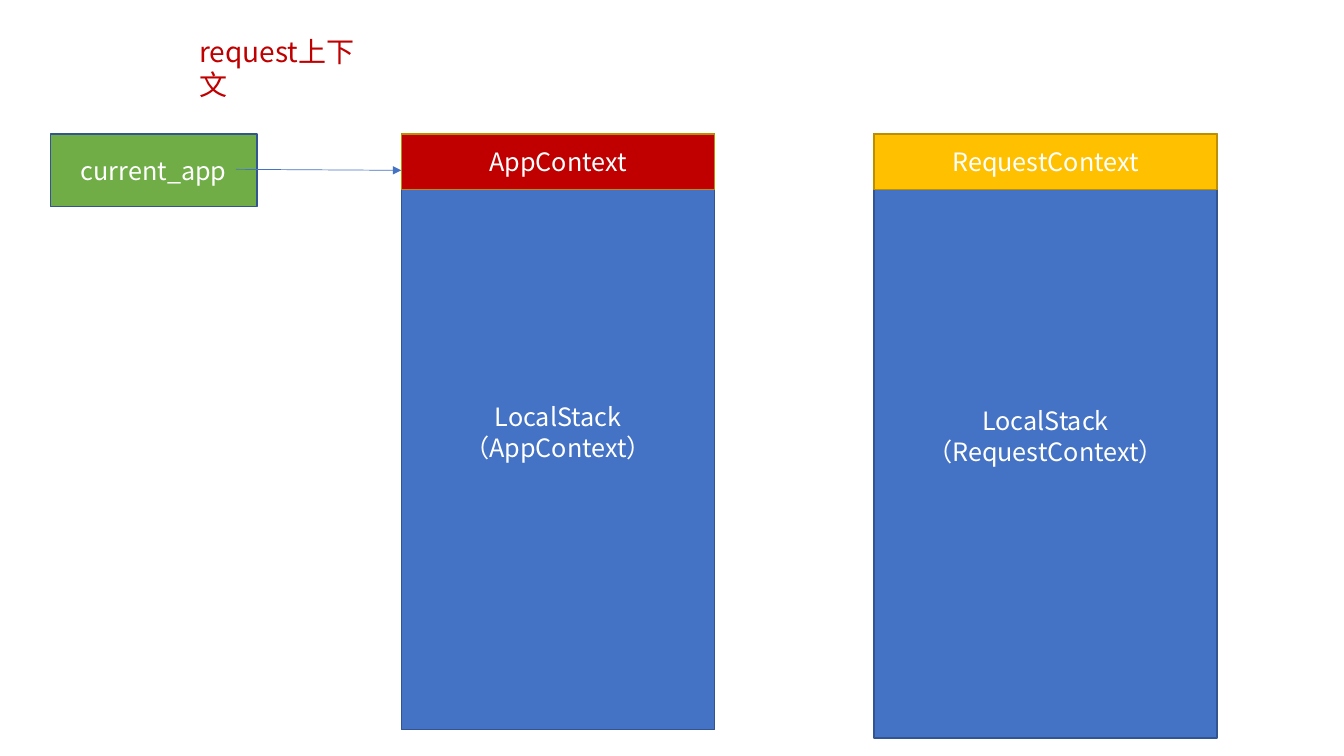
from lxml import etree
from pptx import Presentation
from pptx.dml.color import RGBColor
from pptx.enum.shapes import MSO_CONNECTOR, MSO_SHAPE
from pptx.enum.text import MSO_ANCHOR, PP_ALIGN
from pptx.oxml.ns import qn
from pptx.util import Inches, Pt

RECT = MSO_SHAPE.RECTANGLE
STRAIGHT = MSO_CONNECTOR.STRAIGHT
MIDDLE = MSO_ANCHOR.MIDDLE
CENTER = PP_ALIGN.CENTER

FONT = "Noto Sans CJK SC"
BLUE, GREEN, RED, GOLD, WHITE = "4472C4", "70AD47", "C00000", "FFC000", "FFFFFF"
DARK_BLUE, DARK_GOLD = "325491", "BD8E00"
TOP = 1.33
HEADER_HEIGHT = 0.55


def rgb(color):
    return RGBColor.from_string(color)


def write(tf, text, size, color):
    """Fill the frame with one paragraph, in one font for Latin and Chinese."""
    tf.word_wrap = True
    p = tf.paragraphs[0]
    p.text = text
    p.font.size = Pt(size)
    p.font.color.rgb = rgb(color)
    p.font.name = FONT
    props = p._p.pPr.find(qn("a:defRPr"))
    etree.SubElement(props, qn("a:ea"), typeface=FONT)
    return p


def add_box(s, text, left, width, height, fill, line):
    sp = s.shapes.add_shape(RECT, Inches(left), Inches(TOP), Inches(width), Inches(height))
    sp.shadow.inherit = False
    sp.fill.solid()
    sp.fill.fore_color.rgb = rgb(fill)
    sp.line.color.rgb = rgb(line)
    sp.line.width = Pt(1)
    sp.text_frame.vertical_anchor = MIDDLE
    write(sp.text_frame, text, 18, WHITE).alignment = CENTER


def add_stack(s, context, left, width, height, header_fill):
    """Draw a LocalStack with its top context as a header."""
    add_box(s, f"LocalStack（{context}）", left, width, height, BLUE, DARK_BLUE)
    add_box(s, context, left, width, HEADER_HEIGHT, header_fill, DARK_GOLD)


def add_arrow(s, x1, y1, x2, y2):
    line = s.shapes.add_connector(STRAIGHT, Inches(x1), Inches(y1), Inches(x2), Inches(y2))
    line.line.color.rgb = rgb(BLUE)
    line.line.width = Pt(0.5)
    etree.SubElement(line.line._get_or_add_ln(), qn("a:tailEnd"), type="triangle")
    etree.SubElement(line._element.spPr, qn("a:effectLst"))


def add_label(s, text, left, top, width, height):
    sp = s.shapes.add_textbox(Inches(left), Inches(top), Inches(width), Inches(height))
    write(sp.text_frame, text, 20, RED)


def main():
    prs = Presentation()
    prs.slide_width, prs.slide_height = Inches(13.33), Inches(7.5)
    s = prs.slides.add_slide(prs.slide_layouts[6])

    add_stack(s, "AppContext", 3.98, 3.11, 5.91, RED)
    add_box(s, "current_app", 0.5, 2.05, 0.72, GREEN, DARK_BLUE)
    add_arrow(s, 2.34, 1.68, 3.98, 1.69)
    add_stack(s, "RequestContext", 8.67, 3.4, 5.99, GOLD)
    add_label(s, "request上下文", 1.88, 0.29, 1.94, 0.44)

    prs.save("out.pptx")


if __name__ == "__main__":
    main()
